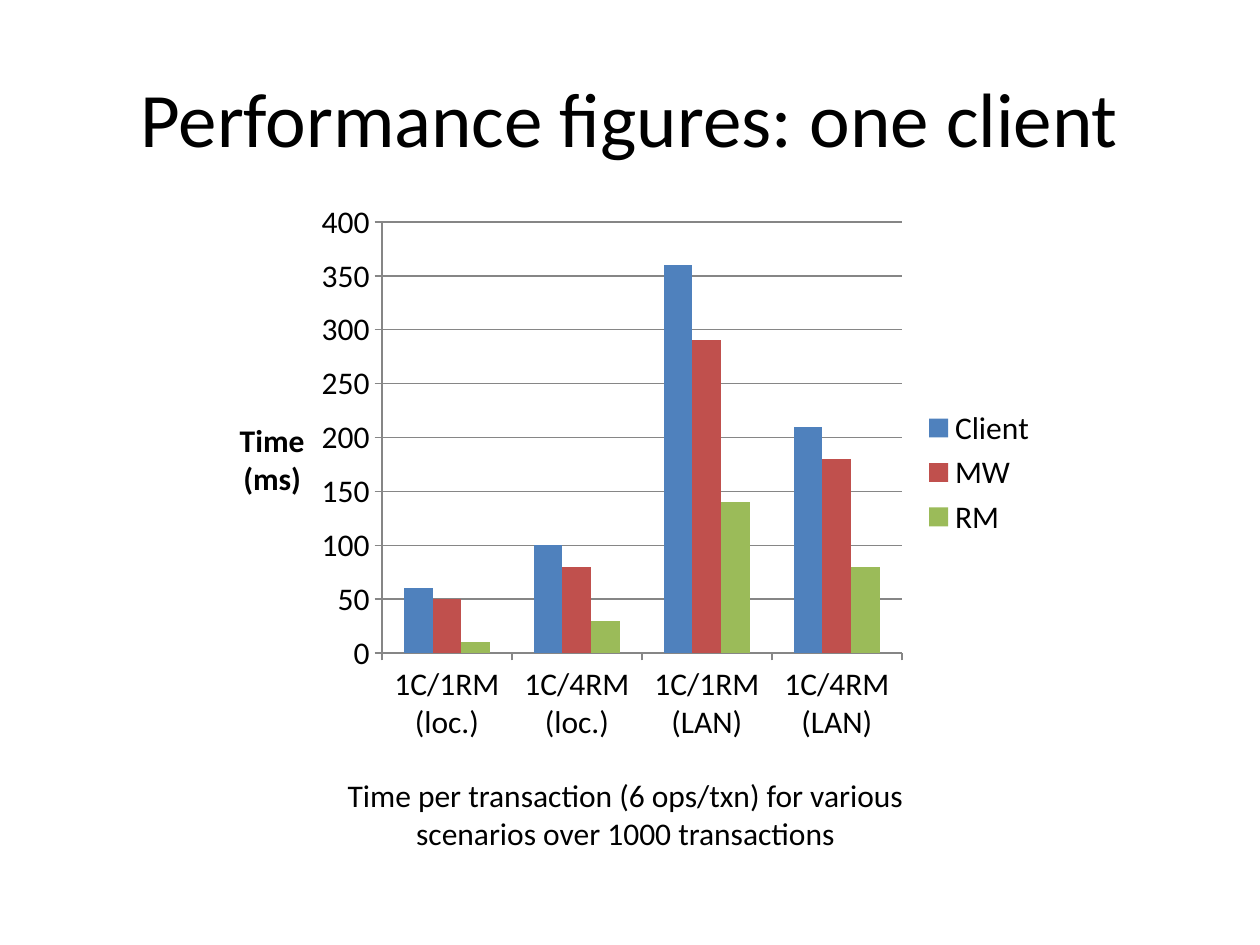
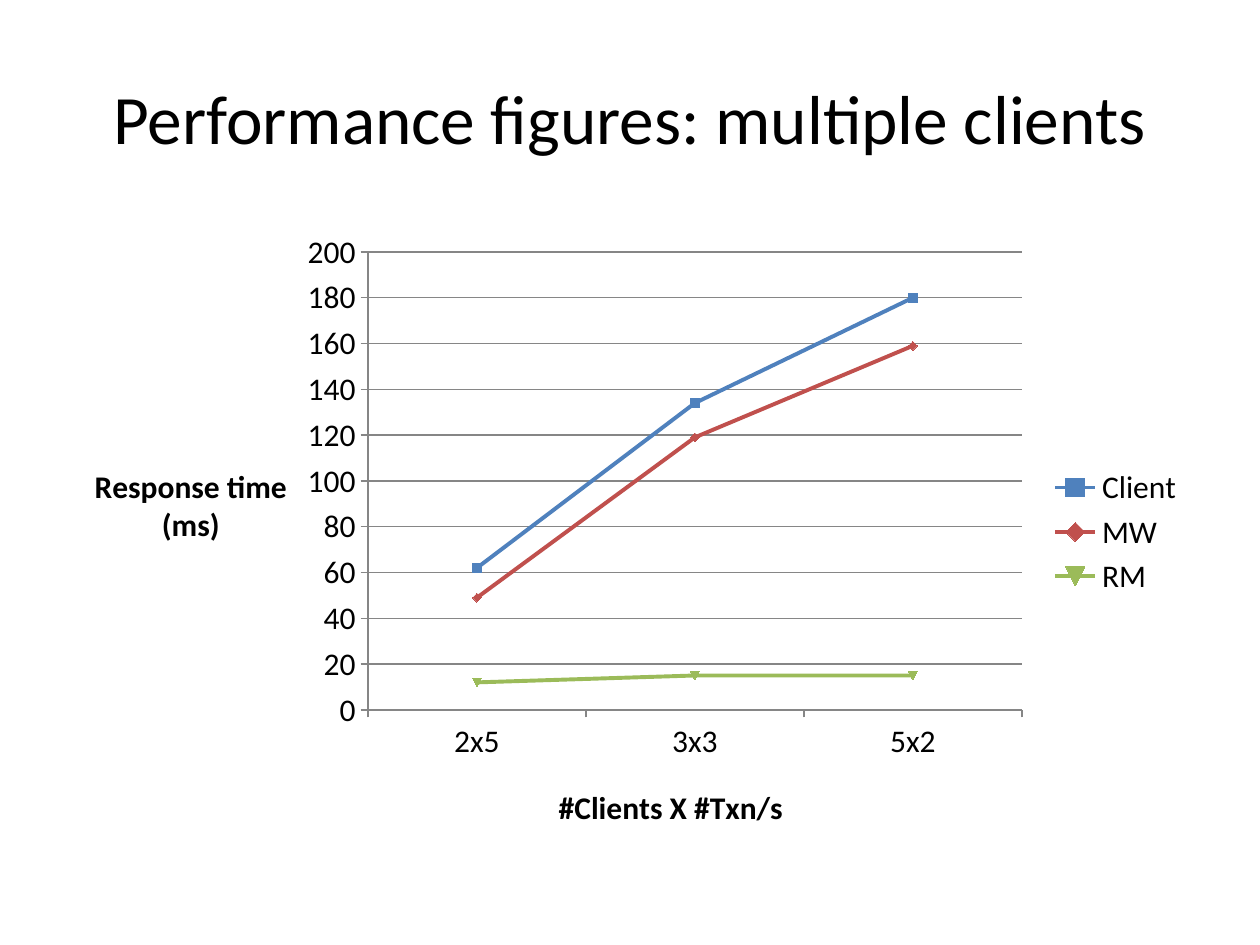
from dataclasses import dataclass
from typing import Optional

import pptx
import pptx.chart.axis
import pptx.chart.chart
import pptx.chart.data
import pptx.dml.color
import pptx.enum.chart
import pptx.enum.text
import pptx.oxml.ns
import pptx.oxml.xmlchemy
import pptx.slide
import pptx.util
from lxml import etree

PX = 914400 / 126  # EMU in one px
FONT = "Calibri"
BLACK, GREY = "000000", "868686"
SERIES_COLORS = {"Client": "4F81BD", "MW": "C0504D", "RM": "9BBB59"}
COLUMNS = pptx.enum.chart.XL_CHART_TYPE.COLUMN_CLUSTERED
LINES = pptx.enum.chart.XL_CHART_TYPE.LINE_MARKERS


@dataclass
class Box:
    left: int
    top: int
    width: int = 0
    height: int = 0

    def emu(self) -> list[int]:
        return [round(n * PX) for n in (self.left, self.top, self.width, self.height)]


@dataclass
class AxisTitle:
    lines: list[str]
    place: Box


@dataclass
class Figure:
    title: str
    title_size: float
    kind: int
    frame: Box
    plot: Box
    categories: list[str]
    values: dict[str, list[int]]
    maximum: int
    step: int
    value_title: AxisTitle
    category_title: Optional[AxisTitle] = None
    caption: str = ""


TITLE_BOX = Box(63, 38, 1134, 157)
CAPTION_BOX = Box(323, 770, 605, 89)

FIGURES = [
    Figure(
        "Performance figures: one client", 44, COLUMNS,
        Box(210, 193, 840, 559), Box(382, 222, 520, 431),
        ["1C/1RM (loc.)", "1C/4RM (loc.)", "1C/1RM (LAN)", "1C/4RM (LAN)"],
        {"Client": [60, 100, 360, 210], "MW": [50, 80, 290, 180], "RM": [10, 30, 140, 80]},
        400, 50, AxisTitle(["Time", "(ms)"], Box(236, 416)),
        caption="Time per transaction (6 ops/txn) for various scenarios over 1000 transactions",
    ),
    Figure(
        "Performance figures: multiple clients", 39.6, LINES,
        Box(63, 220, 1134, 624), Box(368, 252, 654, 458),
        ["2x5", "3x3", "5x2"],
        {"Client": [62, 134, 180], "MW": [49, 119, 159], "RM": [12, 15, 15]},
        200, 20, AxisTitle(["Response time (ms)"], Box(89, 459)),
        category_title=AxisTitle(["#Clients X #Txn/s"], Box(553, 780)),
    ),
]


def color(value: str) -> pptx.dml.color.RGBColor:
    return pptx.dml.color.RGBColor.from_string(value)


def style_font(font, size: float, bold: bool = False) -> None:
    font.name, font.size, font.bold = FONT, pptx.util.Pt(size), bold
    font.color.rgb = color(BLACK)


def write(frame, lines: list[str], size: float, bold: bool = False) -> None:
    for index, line in enumerate(lines):
        para = frame.add_paragraph() if index else frame.paragraphs[0]
        para.alignment = pptx.enum.text.PP_ALIGN.CENTER
        span = para.add_run()
        span.text = line
        style_font(span.font, size, bold)


def set_layout(parent, place: Box, frame: Box) -> None:
    """Fix a chart part at its place, as fractions of the chart frame."""
    qn = pptx.oxml.ns.qn
    layout = parent.find(qn("c:layout"))
    if layout is None:
        layout = etree.Element(qn("c:layout"))
        parent.insert(0, layout)
    manual = etree.SubElement(layout, qn("c:manualLayout"))
    entries = {"xMode": "edge", "yMode": "edge",
               "x": (place.left - frame.left) / frame.width,
               "y": (place.top - frame.top) / frame.height}
    if place.width:
        entries = {"layoutTarget": "inner", **entries,
                   "w": place.width / frame.width, "h": place.height / frame.height}
    for name, value in entries.items():
        etree.SubElement(manual, qn(f"c:{name}")).set("val", str(value))


def style_axis(axis, title: Optional[AxisTitle], frame: Box) -> None:
    axis.major_tick_mark = pptx.enum.chart.XL_TICK_MARK.OUTSIDE
    axis.minor_tick_mark = pptx.enum.chart.XL_TICK_MARK.NONE
    style_line(axis.format.line)
    style_font(axis.tick_labels.font, 18)
    axis.has_title = title is not None
    if title:
        text = axis.axis_title.text_frame
        write(text, title.lines, 18, bold=True)
        # Keep the title horizontal
        body = text._txBody.find(pptx.oxml.ns.qn("a:bodyPr"))
        body.set("rot", "0")
        body.set("vert", "horz")
        set_layout(axis.axis_title._element, title.place, frame)


def style_line(line, value: str = GREY, width: float = 0.75) -> None:
    line.color.rgb = color(value)
    line.width = pptx.util.Pt(width)


def style_series(chart: pptx.chart.chart.Chart, kind: int) -> None:
    for series in chart.plots[0].series:
        shade = SERIES_COLORS[series.name]
        if kind == COLUMNS:
            series.format.fill.solid()
            series.format.fill.fore_color.rgb = color(shade)
        else:
            series.smooth = False
            style_line(series.format.line, shade, 2.25)
            series.marker.format.fill.solid()
            series.marker.format.fill.fore_color.rgb = color(shade)


def add_figure_chart(page: pptx.slide.Slide, figure: Figure) -> None:
    data = pptx.chart.data.CategoryChartData()
    data.categories = figure.categories
    for name, values in figure.values.items():
        data.add_series(name, values)
    chart = page.shapes.add_chart(figure.kind, *figure.frame.emu(), data).chart
    chart.has_title = False
    style_font(chart.font, 18)

    # Axes and grid
    style_axis(chart.category_axis, figure.category_title, figure.frame)
    style_axis(chart.value_axis, figure.value_title, figure.frame)
    axis = chart.value_axis
    axis.minimum_scale, axis.maximum_scale, axis.major_unit = 0, figure.maximum, figure.step
    axis.has_major_gridlines = True
    style_line(axis.major_gridlines.format.line)

    # Plot and series
    plot = chart.plots[0]
    plot.vary_by_categories = False
    if figure.kind == COLUMNS:
        plot.gap_width, plot.overlap = 150, 0
    style_series(chart, figure.kind)
    set_layout(chart._chartSpace.chart.plotArea, figure.plot, figure.frame)

    # Legend
    chart.has_legend = True
    chart.legend.position = pptx.enum.chart.XL_LEGEND_POSITION.RIGHT
    chart.legend.include_in_layout = False
    style_font(chart.legend.font, 18)


def add_page(deck, figure: Figure) -> None:
    page = deck.slides.add_slide(deck.slide_layouts[5])

    # Title
    title = page.shapes.title
    title.left, title.top, title.width, title.height = TITLE_BOX.emu()
    title.text_frame.vertical_anchor = pptx.enum.text.MSO_ANCHOR.MIDDLE
    write(title.text_frame, [figure.title], figure.title_size)

    add_figure_chart(page, figure)

    # Caption
    if figure.caption:
        box = page.shapes.add_textbox(*CAPTION_BOX.emu())
        box.text_frame.word_wrap = True
        box.text_frame.auto_size = pptx.enum.text.MSO_AUTO_SIZE.SHAPE_TO_FIT_TEXT
        write(box.text_frame, [figure.caption], 18)


def main() -> None:
    deck = pptx.Presentation()
    deck.slide_width, deck.slide_height = Box(0, 0, 1260, 945).emu()[2:]
    for figure in FIGURES:
        add_page(deck, figure)
    deck.save("out.pptx")


if __name__ == "__main__":
    main()
